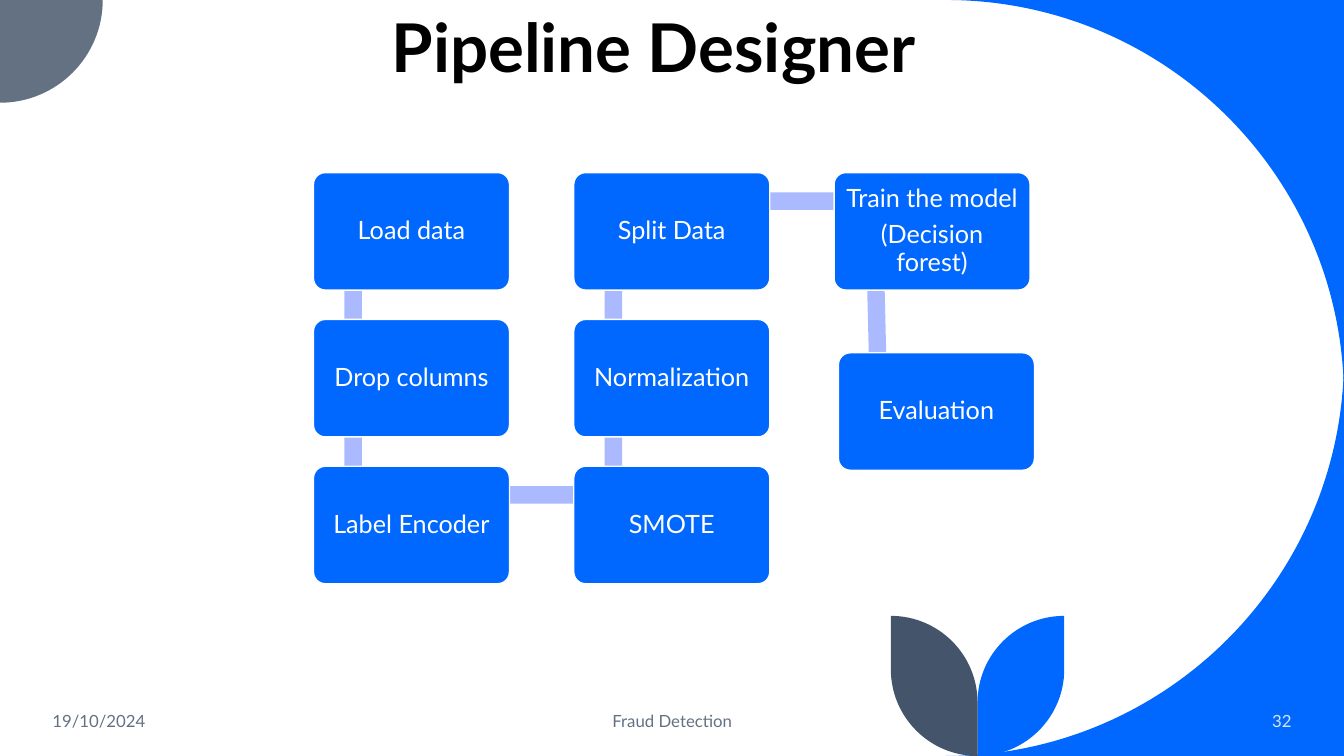
import math
from dataclasses import dataclass

import pptx
import pptx.dml.color
import pptx.enum.shapes
import pptx.enum.text
import pptx.oxml.ns
import pptx.util

Cm = pptx.util.Cm
SHAPES = pptx.enum.shapes.MSO_SHAPE
ALIGN = pptx.enum.text.PP_ALIGN
ANCHOR = pptx.enum.text.MSO_ANCHOR


@dataclass(frozen=True)
class Theme:
    """Colours, font and type sizes of the deck."""
    blue: str = "0068FF"
    slate: str = "637183"
    navy: str = "44546A"
    lilac: str = "ABB9FF"
    pale: str = "DAE5EF"
    white: str = "FFFFFF"
    black: str = "000000"
    font: str = "Lato"
    title_size: float = 48
    step_size: float = 18
    footer_size: float = 12


@dataclass(frozen=True)
class Box:
    """A rectangle in centimetres."""
    left: float
    top: float
    width: float
    height: float

    @property
    def right(self):
        """Return the right edge."""
        return self.left + self.width

    @property
    def bottom(self):
        """Return the bottom edge."""
        return self.top + self.height

    def lengths(self):
        """Return the four measures as slide lengths."""
        return Cm(self.left), Cm(self.top), Cm(self.width), Cm(self.height)


THEME = Theme()
STEP_WIDTH, STEP_HEIGHT = 4.94, 2.96
COLUMN_PITCH, ROW_PITCH = 6.56, 3.7
LINK_THICKNESS = 0.44
LINK_INSET_X, LINK_INSET_Y = 1.0, 0.72
STEPS = [
    (["Load data"], 0, 0),
    (["Drop columns"], 0, 1),
    (["Label Encoder"], 0, 2),
    (["SMOTE"], 1, 2),
    (["Normalization"], 1, 1),
    (["Split Data"], 1, 0),
    (["Train the model", "(Decision forest)"], 2, 0),
    (["Evaluation"], 2, 1),
]
EVALUATION_SHIFT = (0.11, 0.84)


def colour(value):
    """Turn a hex string into a colour."""
    return pptx.dml.color.RGBColor.from_string(value)


def paint(shape, fill, line=None):
    """Give a shape a flat fill and an optional outline."""
    shape.shadow.inherit = False
    shape.fill.solid()
    shape.fill.fore_color.rgb = colour(fill)
    if line:
        shape.line.color.rgb = colour(line)
        shape.line.width = pptx.util.Pt(1)
    else:
        shape.line.fill.background()


def write(shape, lines, *, size, ink, align=ALIGN.LEFT, anchor=ANCHOR.MIDDLE,
          bold=False, spacing=1.0, after=0, inset=None):
    """Write one paragraph per line into a shape."""
    frame = shape.text_frame
    frame.word_wrap = True
    frame.vertical_anchor = anchor
    if inset is not None:
        frame.margin_left = frame.margin_right = Cm(inset)
        frame.margin_top = frame.margin_bottom = Cm(inset)
    for index, line in enumerate(lines):
        para = frame.add_paragraph() if index else frame.paragraphs[0]
        para.alignment = align
        para.line_spacing = spacing
        para.space_after = pptx.util.Pt(after)
        span = para.add_run()
        span.text = line
        span.font.name = THEME.font
        span.font.size = pptx.util.Pt(size)
        span.font.bold = bold
        span.font.color.rgb = colour(ink)


def add_text(page, box, text, **style):
    """Add a text box holding one line."""
    write(page.shapes.add_textbox(*box.lengths()), [text], **style)


def quarter(start, corner, end):
    """Return the curve points of a quarter circle that bends at a corner."""
    pulls = [tuple(p + 0.5523 * (c - p) for p, c in zip(point, corner))
             for point in (start, end)]
    return [*pulls, end]


def add_outline(page, start, segments, fill):
    """Add a closed outline of lines (one point) and curves (three points)."""
    points = [(Cm(x), Cm(y)) for segment in segments for x, y in segment]
    builder = page.shapes.build_freeform(Cm(start[0]), Cm(start[1]))
    builder.add_line_segments(points, close=True)
    shape = builder.convert_to_shape()
    strokes = iter(shape.element.xpath(".//a:lnTo"))
    for segment in segments:
        group = [next(strokes) for _ in segment]
        if len(group) == 3:
            curve = group[0].makeelement(pptx.oxml.ns.qn("a:cubicBezTo"))
            group[0].addprevious(curve)
            for stroke in group:
                curve.append(stroke[0])
                stroke.getparent().remove(stroke)
    paint(shape, fill)


def draw_corners(page, box):
    """Draw the blue sweep on the right and the quarter disc at top left."""
    sweep, disc = 10.03, 2.59
    for edge, inward in ((box.top, 1), (box.bottom, -1)):
        start, corner = (box.right - sweep, edge), (box.right, edge)
        end = (box.right, edge + inward * sweep)
        add_outline(page, start, [quarter(start, corner, end), [corner]],
                    THEME.blue)
    right, bottom = box.left + disc, box.top + disc
    start, end = (right, box.top), (box.left, bottom)
    add_outline(page, start, [quarter(start, (right, bottom), end),
                              [(box.left, box.top)]], THEME.slate)


def draw_leaves(page, box):
    """Draw two mirrored leaves that meet on the middle of the box."""
    radius = box.width / 2
    middle = box.left + radius
    for outer, fill in ((box.right, THEME.blue), (box.left, THEME.navy)):
        tip, foot = (outer, box.top), (middle, box.bottom)
        side = (outer, box.bottom - radius)
        inner = (middle, box.top + radius)
        add_outline(page, tip, [
            [side], quarter(side, (outer, box.bottom), foot),
            [inner], quarter(inner, (middle, box.top), tip)], fill)


def draw_link(page, first, second):
    """Draw a bar from one step to the next."""
    across, down = second.left - first.left, second.top - first.top
    length = math.hypot(across, down)
    bar = Box(first.left + LINK_INSET_X + (across - length) / 2,
              first.top + LINK_INSET_Y + (down - LINK_THICKNESS) / 2,
              length, LINK_THICKNESS)
    shape = page.shapes.add_shape(SHAPES.RECTANGLE, *bar.lengths())
    shape.rotation = math.degrees(math.atan2(down, across)) % 360
    paint(shape, THEME.lilac)


def draw_step(page, box, lines):
    """Draw one rounded step with its label."""
    shape = page.shapes.add_shape(SHAPES.ROUNDED_RECTANGLE, *box.lengths())
    shape.adjustments[0] = 0.1
    paint(shape, THEME.blue, THEME.white)
    write(shape, lines, size=THEME.step_size, ink=THEME.white,
          align=ALIGN.CENTER, spacing=0.9, after=6.3, inset=0.18)


def draw_pipeline(page, box):
    """Draw the snaking chain of steps and links."""
    places = [Box(box.left + column * COLUMN_PITCH, box.top + row * ROW_PITCH,
                  STEP_WIDTH, STEP_HEIGHT) for _, column, row in STEPS]
    last, (shift_x, shift_y) = places[-1], EVALUATION_SHIFT
    places[-1] = Box(last.left + shift_x, last.top - ROW_PITCH + ROW_PITCH + shift_y,
                     STEP_WIDTH, STEP_HEIGHT)
    for first, second in zip(places, places[1:]):
        draw_link(page, first, second)
    for place, (lines, _, _) in zip(places, STEPS):
        draw_step(page, place, lines)


def draw_footer(page, box):
    """Write the date, the topic and the page number."""
    for offset, width, text, align, ink in (
            (0, 7.62, "19/10/2024", ALIGN.LEFT, THEME.slate),
            (10.16, 11.43, "Fraud Detection", ALIGN.CENTER, THEME.slate),
            (box.width - 4.6, 4.6, "32", ALIGN.RIGHT, THEME.pale)):
        add_text(page, Box(box.left + offset, box.top, width, box.height), text,
                 size=THEME.footer_size, ink=ink, align=align)


def main():
    """Build the slide and save the deck."""
    deck = pptx.Presentation()
    whole = Box(0, 0, 33.87, 19.05)
    deck.slide_width, deck.slide_height = Cm(whole.width), Cm(whole.height)
    page = deck.slides.add_slide(deck.slide_layouts[6])
    draw_corners(page, whole)
    draw_leaves(page, Box(22.45, 15.52, 4.37, 3.53))
    add_text(page, Box(9.62, 0.45, 14.63, 1.88), "Pipeline Designer", bold=True,
             size=THEME.title_size, ink=THEME.black, spacing=0.9, anchor=ANCHOR.BOTTOM)
    draw_pipeline(page, Box(7.9, 4.35, 18.17, 10.36))
    draw_footer(page, Box(1.07, 17.65, 31.73, 1.02))
    deck.save("out.pptx")


if __name__ == "__main__":
    main()
